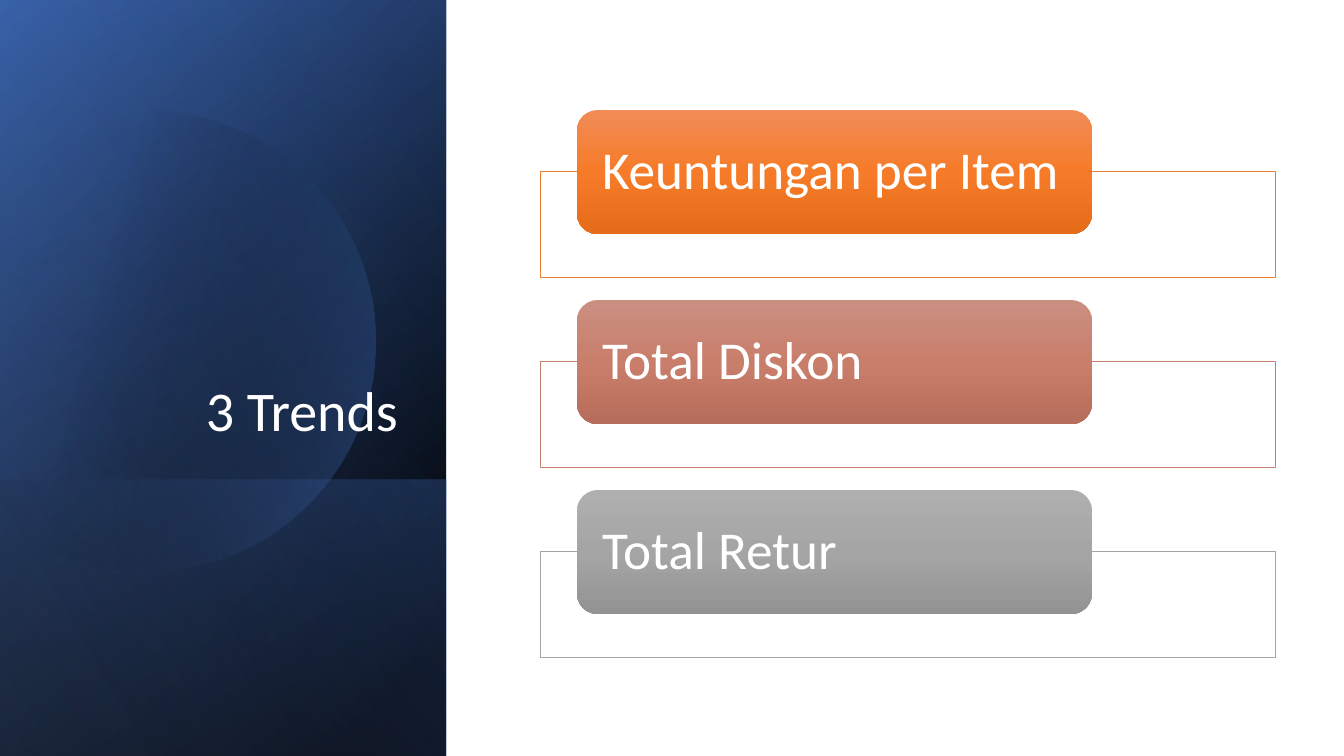
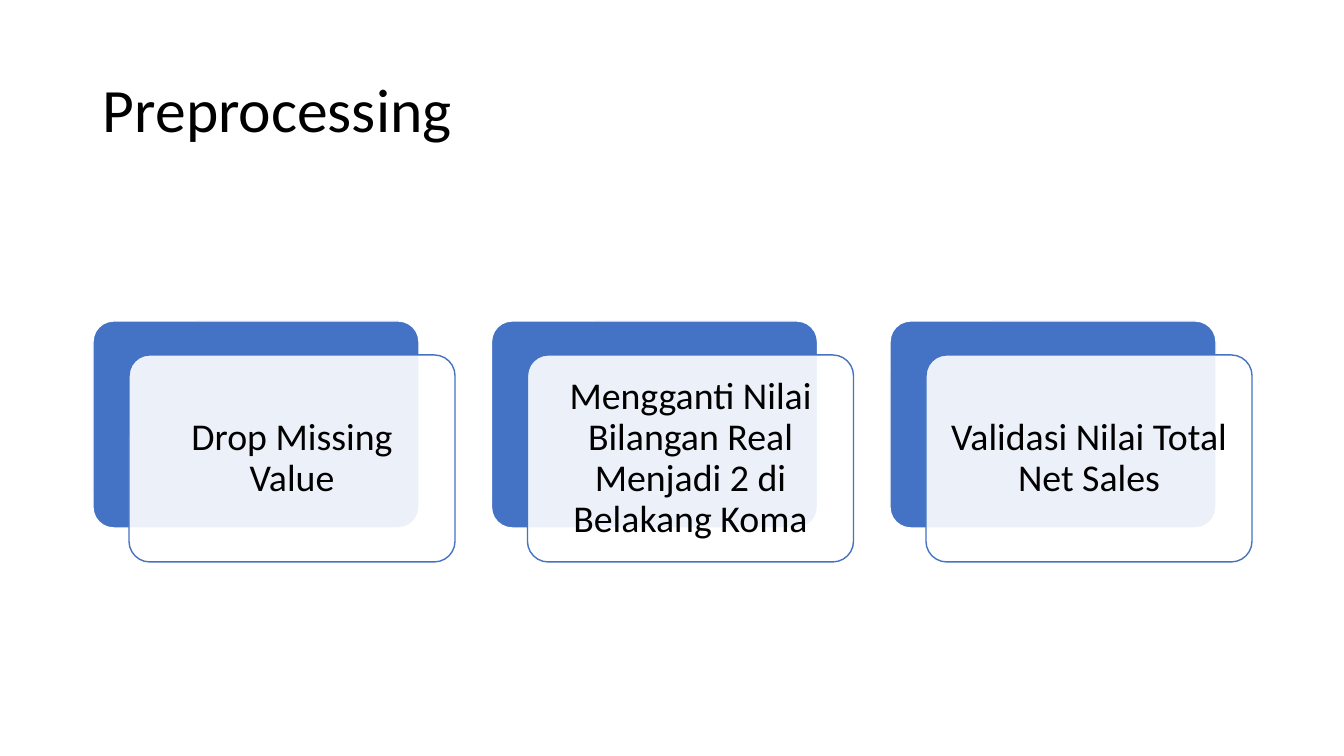
from math import acos, cos, pi, sin

from lxml import etree
from pptx import Presentation
from pptx.dml.color import RGBColor
from pptx.enum.shapes import MSO_SHAPE
from pptx.enum.text import MSO_ANCHOR, PP_ALIGN
from pptx.oxml.ns import qn
from pptx.util import Pt

RECT, ROUNDED = MSO_SHAPE.RECTANGLE, MSO_SHAPE.ROUNDED_RECTANGLE
MIDDLE, BOTTOM = MSO_ANCHOR.MIDDLE, MSO_ANCHOR.BOTTOM
LEFT, CENTER, RIGHT = PP_ALIGN.LEFT, PP_ALIGN.CENTER, PP_ALIGN.RIGHT

WHITE = RGBColor(0xFF, 0xFF, 0xFF)
BLACK = RGBColor(0x00, 0x00, 0x00)
BLUE = RGBColor(0x44, 0x72, 0xC4)
DEEP_BLUE = RGBColor(0x2F, 0x55, 0x97)
PALE_BLUE = RGBColor(0x8F, 0xAA, 0xDC)
ORANGE = RGBColor(0xED, 0x7D, 0x31)
ORANGE_STOPS = (RGBColor(0xF1, 0x8C, 0x57), RGBColor(0xF6, 0x7B, 0x28), RGBColor(0xE5, 0x6C, 0x19))
CLAY = RGBColor(0xC4, 0x81, 0x70)
CLAY_STOPS = (RGBColor(0xCB, 0x8F, 0x81), RGBColor(0xC9, 0x7E, 0x6B), RGBColor(0xB7, 0x6D, 0x5B))
GREY = RGBColor(0xA5, 0xA5, 0xA5)
GREY_STOPS = (RGBColor(0xAF, 0xAF, 0xAF), GREY, RGBColor(0x93, 0x93, 0x93))

FONT = "Calibri"
PX = 914400 / 100.8
SLIDE_W, SLIDE_H = 1344, 756
PANEL_W = 446

# Content
TRENDS_TITLE = "3 Trends"
TRENDS = [
    ("Keuntungan per Item", ORANGE, ORANGE_STOPS),
    ("Total Diskon", CLAY, CLAY_STOPS),
    ("Total Retur", GREY, GREY_STOPS),
]
STEPS_TITLE = "Preprocessing"
STEPS = [
    "Drop Missing Value",
    "Mengganti Nilai Bilangan Real Menjadi 2 di Belakang Koma",
    "Validasi Nilai Total Net Sales",
]

# Side panel: top, height, angle, stops of (position %, colour, opacity %)
PANEL_BASE = [
    (0, SLIDE_H, 50, [(8, BLACK, 100), (100, DEEP_BLUE, 100)]),
    (0, SLIDE_H, 30, [(0, BLACK, 0), (99, BLUE, 46)]),
    (480, 276, 130, [(2, BLUE, 29), (100, BLACK, 30)]),
]
PANEL_SHEEN = (0, SLIDE_H, 120, [(0, BLACK, 0), (99, PALE_BLUE, 11)])
DISC_X, DISC_Y, DISC_R = 145, 341, 230
DISC_STOPS = [(29, BLACK, 0), (100, BLUE, 43)]
ARC_STEPS = 120


def px(value):
    return round(value * PX)


def set_opacity(color_element, percent):
    etree.SubElement(color_element, qn("a:alpha"), val=str(percent * 1000))


def fill_solid(shape, color, opacity=100):
    shape.fill.solid()
    shape.fill.fore_color.rgb = color
    if opacity < 100:
        set_opacity(shape.element.spPr.find(qn("a:solidFill"))[0], opacity)


def fill_gradient(shape, stops, angle):
    shape.fill.solid()
    solid = shape.element.spPr.find(qn("a:solidFill"))
    gradient = etree.Element(qn("a:gradFill"), rotWithShape="1")
    stop_list = etree.SubElement(gradient, qn("a:gsLst"))
    for position, color, opacity in stops:
        stop = etree.SubElement(stop_list, qn("a:gs"), pos=str(position * 1000))
        set_opacity(etree.SubElement(stop, qn("a:srgbClr"), val=str(color)), opacity)
    etree.SubElement(gradient, qn("a:lin"), ang=str(angle * 60000), scaled="0")
    solid.getparent().replace(solid, gradient)


def set_outline(shape, color=None, width=1):
    shape.shadow.inherit = False
    if color is None:
        shape.line.fill.background()
    else:
        shape.line.color.rgb = color
        shape.line.width = Pt(width)


def add_box(slide, kind, left, top, width, height, outline=None, outline_pt=1):
    box = slide.shapes.add_shape(kind, px(left), px(top), px(width), px(height))
    set_outline(box, outline, outline_pt)
    return box


def write(shape, text, size, color, align, anchor, margins):
    frame = shape.text_frame
    frame.word_wrap = True
    frame.vertical_anchor = anchor
    frame.margin_left = frame.margin_right = px(margins[0])
    frame.margin_top = frame.margin_bottom = px(margins[1])
    paragraph = frame.paragraphs[0]
    paragraph.alignment = align
    paragraph.line_spacing = 0.9
    run = paragraph.add_run()
    run.text = text
    run.font.name, run.font.size = FONT, Pt(size)
    run.font.color.rgb = color


def place_title(slide, text, box, size, color, align, anchor):
    title = slide.shapes.title
    title.left, title.top, title.width, title.height = map(px, box)
    write(title, text, size, color, align, anchor, (10, 5))
    slide.shapes.element.append(title.element)  # bring to the front


def add_panel_layer(slide, top, height, angle, stops):
    # A quarter turn swaps the sides around the layer's centre
    layer = add_box(slide, RECT, (PANEL_W - height) / 2,
                    top + (height - PANEL_W) / 2, height, PANEL_W)
    layer.rotation = 90
    layer.element.spPr.get_or_add_xfrm().set("flipH", "1")
    fill_gradient(layer, stops, angle)


def add_disc(slide):
    # Circle cut off at the slide's left edge
    limit = acos(-DISC_X / DISC_R)
    angles = [limit * (2 * i / ARC_STEPS - 1) for i in range(ARC_STEPS + 1)]
    points = [(px(DISC_X + DISC_R * cos(a)), px(DISC_Y + DISC_R * sin(a))) for a in angles]
    outline = slide.shapes.build_freeform(*points[0])
    outline.add_line_segments(points[1:], close=True)
    disc = outline.convert_to_shape()
    set_outline(disc)
    fill_gradient(disc, DISC_STOPS, 14)


def build_trends(slide):
    for layer in PANEL_BASE:
        add_panel_layer(slide, *layer)
    add_disc(slide)
    add_panel_layer(slide, *PANEL_SHEEN)
    place_title(slide, TRENDS_TITLE, (64, 185, 344, 264), 40, WHITE, RIGHT, BOTTOM)

    for row, (name, accent, shades) in enumerate(TRENDS):
        top = 110 + row * 190
        frame = add_box(slide, RECT, 540, top + 61, 735, 106, accent, 0.5)
        fill_solid(frame, WHITE, 90)
        label = add_box(slide, ROUNDED, 577, top, 515, 124)
        fill_gradient(label, [(50 * i, shade, 100) for i, shade in enumerate(shades)], 90)
        write(label, name, 38, WHITE, LEFT, MIDDLE, (19, 0))


def build_steps(slide):
    place_title(slide, STEPS_TITLE, (93, 40, 1159, 146), 44, BLACK, LEFT, MIDDLE)
    for column, step in enumerate(STEPS):
        left, top = 93 + column * 398.5, 321
        back = add_box(slide, ROUNDED, left, top, 326, 207, WHITE)
        fill_solid(back, BLUE)
        card = add_box(slide, ROUNDED, left + 36, top + 34, 326, 207, BLUE)
        fill_solid(card, WHITE, 90)
        for part in (back, card):
            part.adjustments[0] = 0.1
        write(card, step, 27, BLACK, CENTER, MIDDLE, (11, 11))


def main():
    deck = Presentation()
    deck.slide_width, deck.slide_height = px(SLIDE_W), px(SLIDE_H)
    title_only = deck.slide_layouts[5]
    for build in (build_trends, build_steps):
        build(deck.slides.add_slide(title_only))
    deck.save("out.pptx")


if __name__ == "__main__":
    main()
